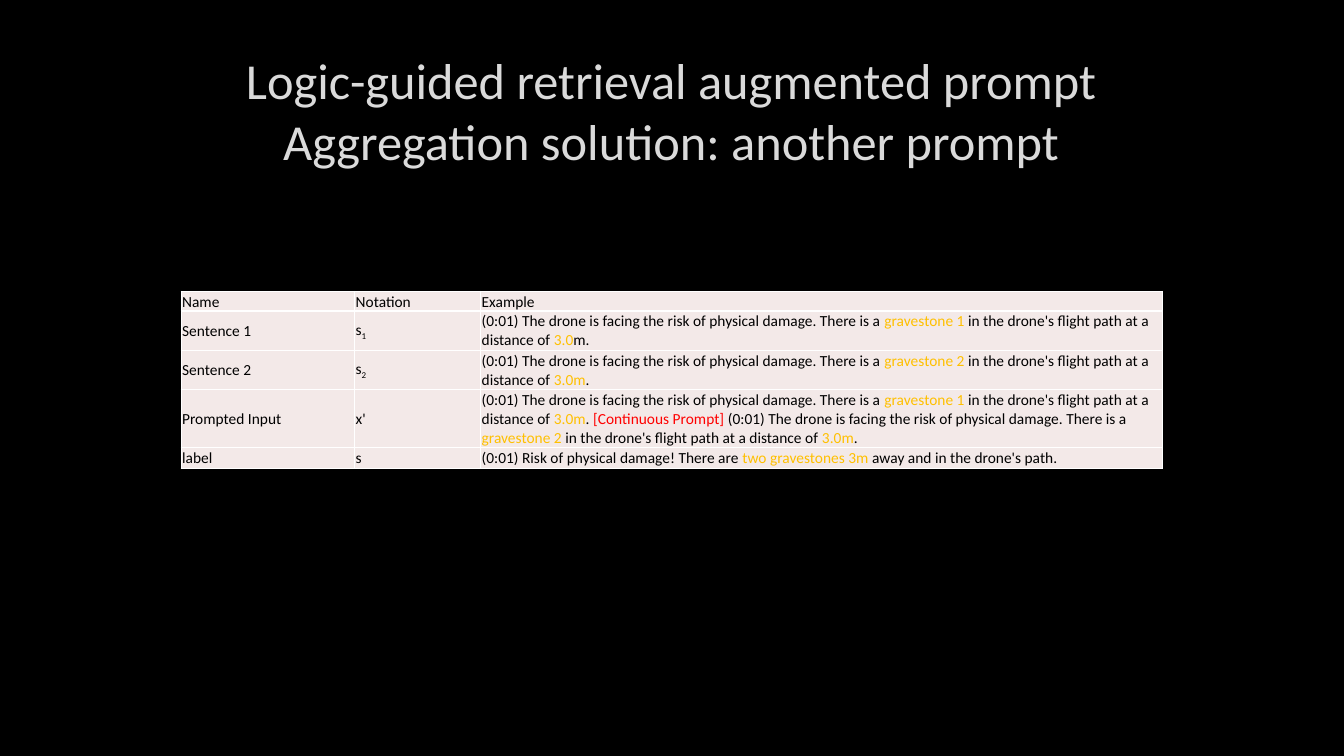
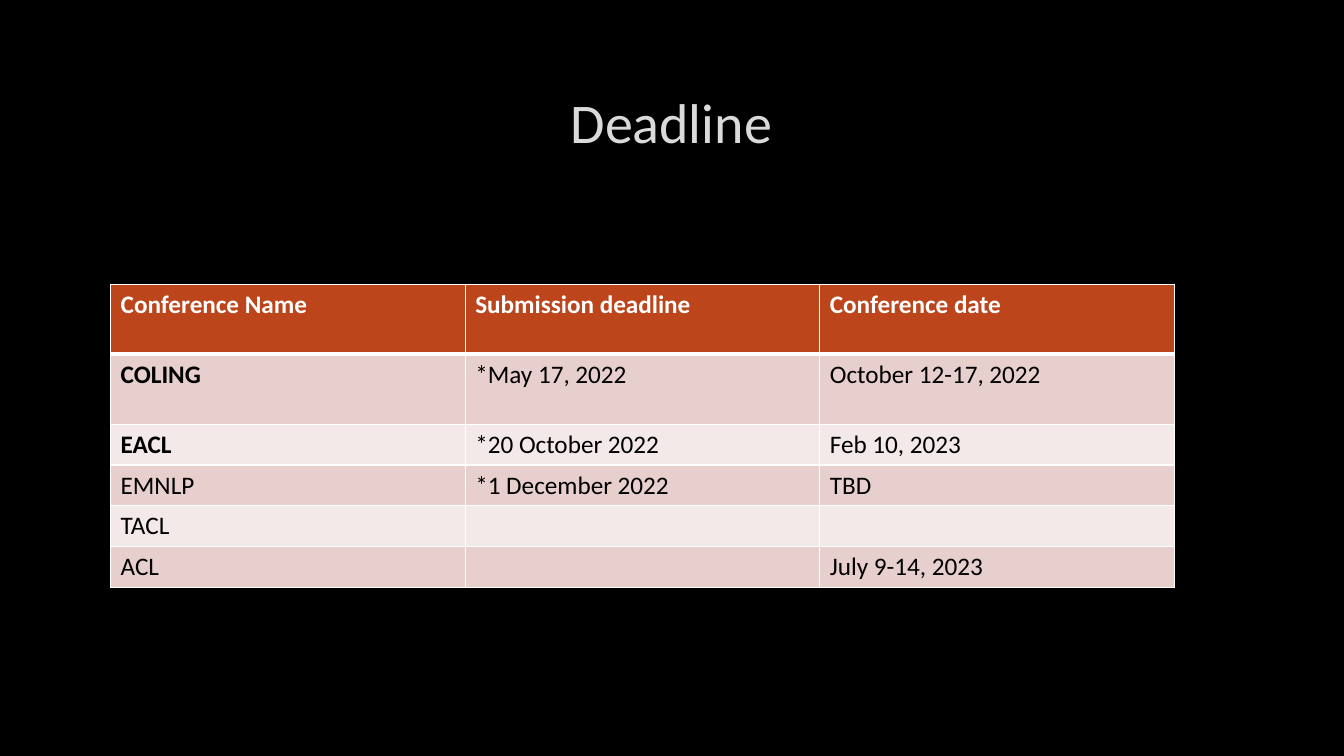
from dataclasses import dataclass

from lxml.etree import SubElement
from pptx import Presentation
from pptx.dml.color import RGBColor as Rgb
from pptx.enum.text import MSO_ANCHOR as Anchor, PP_ALIGN as Align
from pptx.oxml.ns import qn
from pptx.util import Pt


@dataclass(frozen=True)
class Theme:
    font: str = "Calibri"
    background: str = "000000"
    title: str = "DADADA"
    title_outline: str = "404040"
    text: str = "000000"
    highlight: str = "FFC000"
    prompt: str = "FF0000"
    header_text: str = "FFFFFF"
    header_fill: str = "BC451B"
    band_dark: str = "E7CFCD"
    band_light: str = "F3E9E8"
    border: str = "FFFFFF"
    thin: float = 1
    thick: float = 3
    example_size: int = 11
    deadline_size: int = 18


THEME = Theme()


@dataclass(frozen=True)
class Piece:
    """A stretch of text with one look; a negative baseline is a subscript."""
    text: str
    color: str = THEME.text
    bold: bool = False
    baseline: int = 0


def marked(text):
    return Piece(text, THEME.highlight)


def subscript(text):
    return Piece(text, baseline=-25000)


def bold(text, color=THEME.text):
    return Piece(text, color, bold=True)


def sighting(number, distance, ending):
    return [
        Piece("(0:01) The drone is facing the risk of physical damage. There is a "),
        marked(f"gravestone {number}"),
        Piece(" in the drone's flight path at a distance of "),
        marked(distance),
        Piece(ending),
    ]


EXAMPLE_ROWS = [
    ["Name", "Notation", "Example"],
    ["Sentence 1", [Piece("s"), subscript("1")], sighting(1, "3.0", "m.")],
    ["Sentence 2", [Piece("s"), subscript("2")], sighting(2, "3.0m", ".")],
    ["Prompted Input", "x'",
     sighting(1, "3.0m", ". ")
     + [Piece("[Continuous Prompt] ", THEME.prompt)]
     + sighting(2, "3.0m", ".")],
    ["label", "s",
     [Piece("(0:01) Risk of physical damage! There are "),
      marked("two gravestones 3m "),
      Piece("away and in the drone's path.")]],
]

DEADLINE_HEADINGS = ["Conference Name", "Submission deadline", "Conference date"]
DEADLINE_ROWS = [
    [[bold(heading, THEME.header_text)] for heading in DEADLINE_HEADINGS],
    [[bold("COLING")], "*May 17, 2022", "October 12-17, 2022"],
    [[bold("EACL")], "*20 October 2022", "Feb 10, 2023"],
    ["EMNLP", "*1 December 2022", "TBD"],
    ["TACL", "", ""],
    ["ACL", "", "July 9-14, 2023"],
]


def add_solid(parent, color, alpha=None):
    """Append a solid fill, with alpha in thousandths of a percent."""
    node = SubElement(SubElement(parent, qn("a:solidFill")), qn("a:srgbClr"), val=color)
    if alpha is not None:
        SubElement(node, qn("a:alpha"), val=str(alpha))


def style_font(font, size, color, is_bold=False):
    font.name = THEME.font
    font.size = Pt(size)
    font.bold = is_bold
    font.color.rgb = Rgb.from_string(color)


def add_title(page, lines, top, size):
    box = page.shapes.add_textbox(Pt(72), Pt(top), Pt(815), Pt(76.4))
    frame = box.text_frame
    frame.word_wrap = True
    frame.vertical_anchor = Anchor.MIDDLE
    para = frame.paragraphs[0]
    para.alignment = Align.CENTER
    for index, line in enumerate(lines):
        if index:
            para.add_line_break()
        span = para.add_run()
        span.text = line
        outline = SubElement(span.font._element, qn("a:ln"), w=str(Pt(0.75)))
        add_solid(outline, THEME.title_outline, 10000)
        style_font(span.font, size, THEME.title)


def write_cell(cell, content, size):
    """Write a plain string or a list of pieces into a cell."""
    pieces = [Piece(content)] if isinstance(content, str) else content
    para = cell.text_frame.paragraphs[0]
    para.font.size = Pt(size)
    for piece in pieces:
        if not piece.text:
            continue
        span = para.add_run()
        span.text = piece.text
        style_font(span.font, size, piece.color, piece.bold)
        if piece.baseline:
            span.font._element.set("baseline", str(piece.baseline))


def paint_cell(cell, fill, top, bottom):
    """Draw the four borders and the fill; top and bottom are line widths."""
    properties = cell._tc.get_or_add_tcPr()
    widths = {"lnL": THEME.thin, "lnR": THEME.thin, "lnT": top, "lnB": bottom}
    for side, width in widths.items():
        add_solid(SubElement(properties, qn(f"a:{side}"), w=str(Pt(width))), THEME.border)
    cell.fill.solid()
    cell.fill.fore_color.rgb = Rgb.from_string(fill)


def add_grid(page, left, top, widths, heights, rows, size, fills, header_line=THEME.thin):
    """Add a table with one fill per row; header_line is the rule under row 0."""
    table = page.shapes.add_table(
        len(rows), len(widths), Pt(left), Pt(top), Pt(sum(widths)), Pt(sum(heights))
    ).table
    table.first_row = table.horz_banding = False
    for column, width in zip(table.columns, widths):
        column.width = Pt(width)
    for index, (row, contents) in enumerate(zip(table.rows, rows)):
        row.height = Pt(heights[index])
        over = header_line if index == 1 else THEME.thin
        under = header_line if index == 0 else THEME.thin
        for cell, content in zip(row.cells, contents):
            write_cell(cell, content, size)
            paint_cell(cell, fills[index], over, under)
    return table


def tighten(table):
    """Centre the text vertically and shrink the cell margins."""
    for cell in table.iter_cells():
        cell.vertical_anchor = Anchor.MIDDLE
        cell.margin_left = cell.margin_right = cell.margin_top = Pt(0.7)
        cell.margin_bottom = Pt(0)


def add_prompt_page(deck):
    page = deck.slides.add_slide(deck.slide_layouts[6])
    add_title(page, ["Logic-guided retrieval augmented prompt",
                     "Aggregation solution: another prompt"], 40.3, 36)
    table = add_grid(page, 129.4, 208.2, [124, 90, 487], [14, 28, 28, 41.5, 15],
                     EXAMPLE_ROWS, THEME.example_size,
                     [THEME.band_light] * len(EXAMPLE_ROWS))
    tighten(table)


def add_deadline_page(deck):
    page = deck.slides.add_slide(deck.slide_layouts[6])
    add_title(page, ["Deadline"], 48.2, 40)
    bands = [THEME.band_light, THEME.band_dark]
    fills = [THEME.header_fill] + [bands[row % 2] for row in range(1, len(DEADLINE_ROWS))]
    add_grid(page, 79, 203, [253.3] * 3, [50] * 2 + [29.2] * 4,
             DEADLINE_ROWS, THEME.deadline_size, fills, THEME.thick)


def main():
    deck = Presentation()
    deck.slide_width, deck.slide_height = Pt(960), Pt(540)
    backdrop = deck.slide_master.background.fill
    backdrop.solid()
    backdrop.fore_color.rgb = Rgb.from_string(THEME.background)
    add_prompt_page(deck)
    add_deadline_page(deck)
    deck.save("out.pptx")


if __name__ == "__main__":
    main()
